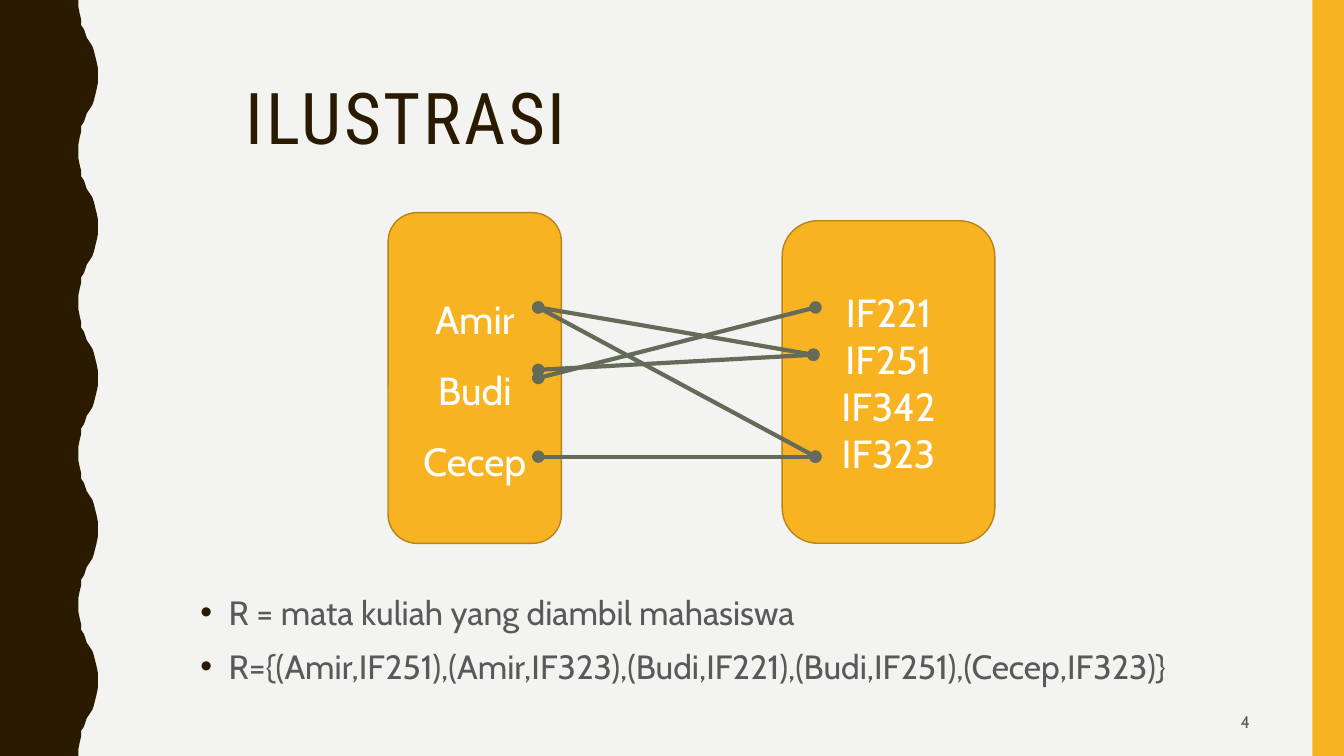
from dataclasses import dataclass

from lxml import etree
from pptx import Presentation
from pptx.dml.color import RGBColor
from pptx.enum.shapes import MSO_CONNECTOR, MSO_SHAPE
from pptx.enum.text import MSO_ANCHOR, PP_ALIGN
from pptx.oxml.ns import qn
from pptx.util import Pt

RECT = MSO_SHAPE.RECTANGLE
ROUNDED = MSO_SHAPE.ROUNDED_RECTANGLE
STRAIGHT = MSO_CONNECTOR.STRAIGHT
TOP, MIDDLE = MSO_ANCHOR.TOP, MSO_ANCHOR.MIDDLE
LEFT, CENTER, RIGHT = PP_ALIGN.LEFT, PP_ALIGN.CENTER, PP_ALIGN.RIGHT


@dataclass(frozen=True)
class Theme:
    background: RGBColor = RGBColor(0xF3, 0xF3, 0xF2)
    dark: RGBColor = RGBColor(0x2A, 0x1A, 0x00)
    accent: RGBColor = RGBColor(0xF8, 0xB3, 0x23)
    outline: RGBColor = RGBColor(0xB7, 0x84, 0x1A)
    arrow: RGBColor = RGBColor(0x65, 0x6A, 0x59)
    body: RGBColor = RGBColor(0x59, 0x59, 0x59)
    white: RGBColor = RGBColor(0xFF, 0xFF, 0xFF)
    title_font: str = "Roboto Condensed"
    body_font: str = "Cabin"
    title_size: int = 51
    set_size: int = 28
    body_size: int = 24
    number_size: int = 12


THEME = Theme()
SLIDE_W, SLIDE_H = 960, 540

# First half of one wave: (offset from the trough, distance down)
WAVE_PERIOD, WAVE_TROUGH = 108, 56
WAVE_HALF = [(0, 0), (0.3, 5), (0.8, 10), (1.5, 14.4), (2.4, 18), (3.6, 21),
             (5, 24), (6.5, 27), (8, 30), (9.5, 33), (11, 36), (12.2, 39.6),
             (13.2, 44), (13.8, 49), (14, 54)]

STUDENTS = ["Amir", "Budi", "Cecep"]
COURSES = ["IF221", "IF251", "IF342", "IF323"]
COURSE_DOTS = {"IF221": (582.5, 219.6), "IF251": (581, 253.4), "IF323": (582.5, 326.2)}
STUDENT_DOT_X = 384.5
# Height of the student's dot, and the course it leads to
RELATION = [(219.6, "IF251"), (219.6, "IF323"), (270, "IF221"),
            (264.2, "IF251"), (326.2, "IF323")]


def write(frame, lines, font, size, color, align=LEFT, anchor=TOP, spacing=1.0):
    frame.word_wrap = True
    frame.vertical_anchor = anchor
    frame.text = "\n".join(lines)
    for paragraph in frame.paragraphs:
        paragraph.alignment = align
        paragraph.line_spacing = spacing
        for run in paragraph.runs:
            run.font.name = font
            run.font.size = Pt(size)
            run.font.color.rgb = color


def add_text(slide, box, lines, font, size, color, **layout):
    frame = slide.shapes.add_textbox(*map(Pt, box)).text_frame
    write(frame, lines, font, size, color, **layout)
    return frame


def add_panel(shapes, kind, box, outline=None):
    panel = shapes.add_shape(kind, *map(Pt, box))
    panel.shadow.inherit = False
    panel.fill.solid()
    panel.fill.fore_color.rgb = THEME.accent
    if outline is None:
        panel.line.fill.background()
    else:
        panel.line.color.rgb = outline
        panel.line.width = Pt(1)
    return panel


def add_set(shapes, box, members, spacing):
    """Draw one set of the relation as a rounded box listing its members."""
    panel = add_panel(shapes, ROUNDED, box, THEME.outline)
    write(panel.text_frame, members, THEME.body_font, THEME.set_size, THEME.white,
          align=CENTER, anchor=MIDDLE, spacing=spacing)


def add_pair(shapes, start, end):
    """Join two dots with a line that has an oval at both ends."""
    pair = shapes.add_connector(STRAIGHT, *map(Pt, (*start, *end)))
    pair.line.color.rgb = THEME.arrow
    pair.line.width = Pt(3)
    line = pair.line._get_or_add_ln()
    for tag in ("a:headEnd", "a:tailEnd"):
        etree.SubElement(line, qn(tag), type="oval")
    etree.SubElement(pair._element.spPr, qn("a:effectLst"))


def add_wave_edge(slide):
    half = WAVE_HALF + [(x, WAVE_PERIOD - y) for x, y in WAVE_HALF[-2::-1]]
    edge = [(WAVE_TROUGH + x, top + y)
            for top in range(0, SLIDE_H, WAVE_PERIOD) for x, y in half]
    builder = slide.shapes.build_freeform(0, 0, scale=Pt(1))
    builder.add_line_segments([*edge, (0, SLIDE_H)], close=True)
    wave = builder.convert_to_shape()
    wave.shadow.inherit = False
    wave.fill.solid()
    wave.fill.fore_color.rgb = THEME.dark
    wave.line.fill.background()


def add_bullets(frame):
    for paragraph in frame.paragraphs:
        paragraph.space_before = Pt(7)
        properties = paragraph._p.get_or_add_pPr()
        properties.set("marL", str(Pt(28.8)))
        properties.set("indent", str(Pt(-20.2)))
        color = etree.SubElement(properties, qn("a:buClr"))
        etree.SubElement(color, qn("a:srgbClr"), val=str(THEME.dark))
        etree.SubElement(properties, qn("a:buFont"), typeface="Arial")
        etree.SubElement(properties, qn("a:buChar"), char="•")


def add_relation(slide):
    shapes = slide.shapes.add_group_shape().shapes
    add_set(shapes, (277.2, 151.9, 123.8, 236.2), STUDENTS, spacing=1.5)
    add_set(shapes, (558.7, 157.7, 151.9, 230.4), COURSES, spacing=1.0)
    for student_y, course in RELATION:
        add_pair(shapes, (STUDENT_DOT_X, student_y), COURSE_DOTS[course])


def main():
    deck = Presentation()
    deck.slide_width, deck.slide_height = Pt(SLIDE_W), Pt(SLIDE_H)
    slide = deck.slides.add_slide(deck.slide_layouts[6])
    slide.background.fill.solid()
    slide.background.fill.fore_color.rgb = THEME.background

    add_wave_edge(slide)
    add_panel(slide.shapes, RECT, (937.5, 0, 22.5, SLIDE_H))

    title = add_text(slide, (168.5, 55.4, 635.8, 84.2), ["ILUSTRASI"],
                     THEME.title_font, THEME.title_size, THEME.dark, spacing=0.9)
    title.paragraphs[0].runs[0].font._element.set("spc", "200")

    notes = add_text(slide, (127.4, 416.2, 730.8, 101.5),
                     ["R = mata kuliah yang diambil mahasiswa",
                      "R={(Amir,IF251),(Amir,IF323),(Budi,IF221),(Budi,IF251),(Cecep,IF323)}"],
                     THEME.body_font, THEME.body_size, THEME.body, spacing=1.1)
    add_bullets(notes)

    add_text(slide, (678.2, 501.8, 221.8, 27.4), ["4"], THEME.body_font,
             THEME.number_size, THEME.body, align=RIGHT, anchor=MIDDLE)
    add_relation(slide)
    deck.save("out.pptx")


if __name__ == "__main__":
    main()
